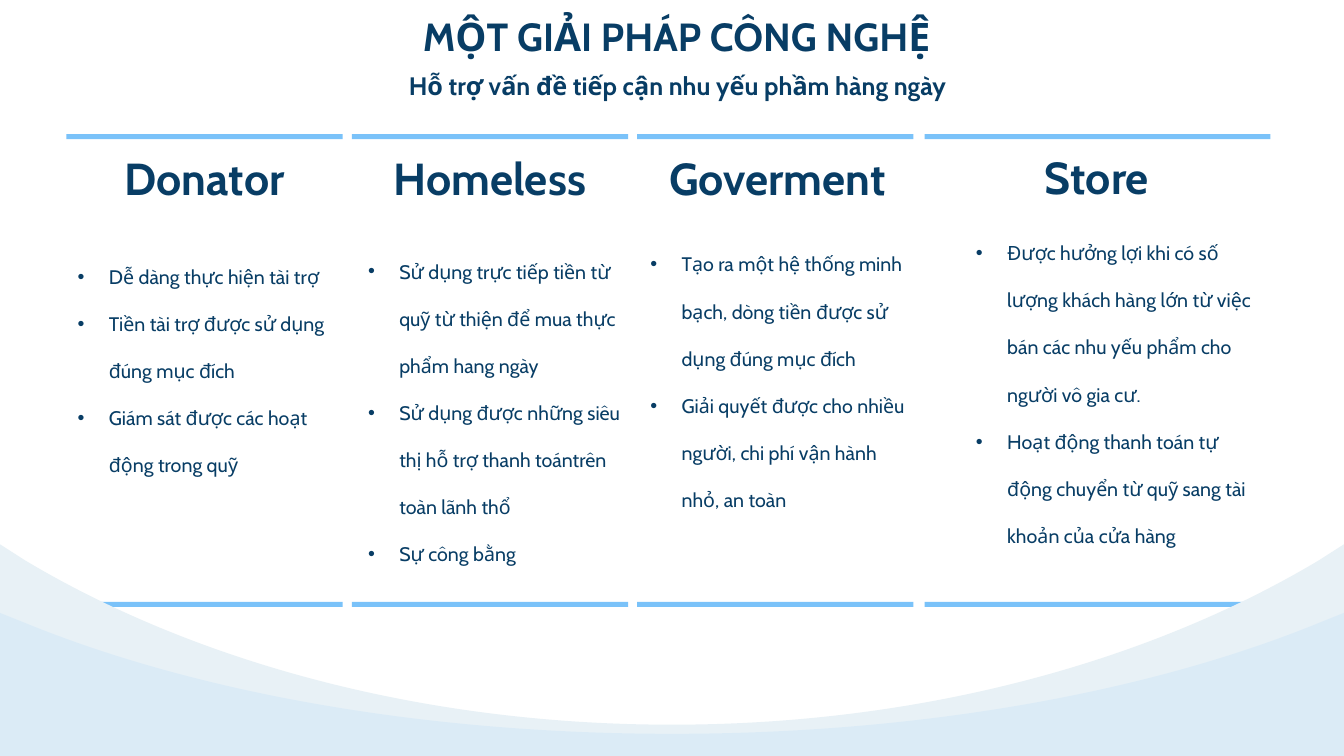
from pptx import Presentation
from pptx.dml.color import RGBColor
from pptx.enum import shapes as kinds, text as txt
from pptx.oxml import parse_xml
from pptx.oxml.ns import nsdecls, qn
from pptx.util import Inches, Pt

NAVY = RGBColor(0x08, 0x3D, 0x65)
SKY = RGBColor(0x7A, 0xC2, 0xF9)
MIST = RGBColor(0xE8, 0xF1, 0xF6)
FONT = "Cabin"
WIDE, HIGH = 13.33, 7.5

TITLE = "MỘT GIẢI PHÁP CÔNG NGHỆ"
SUB = "Hỗ trợ vấn đề tiếp cận nhu yếu phầm hàng ngày"
COLS = [
    dict(head="Donator", bar=(0.66, 2.74), name=(0.74, 1.5, 2.58, 0.54),
         box=(0.77, 2.39, 2.61, 2.36),
         items=["Dễ dàng thực hiện tài trợ",
                "Tiền tài trợ được sử dụng đúng mục đích",
                "Giám sát được các hoạt động trong quỹ"]),
    dict(head="Homeless", bar=(3.49, 2.74), name=(3.68, 1.5, 2.36, 0.54),
         box=(3.65, 2.34, 2.51, 3.3),
         items=["Sử dụng trực tiếp tiền từ quỹ từ thiện để mua thực phẩm hang ngày",
                "Sử dụng được những siêu thị hỗ trợ thanh toántrên toàn lãnh thổ",
                "Sự công bằng"]),
    dict(head="Goverment", bar=(6.32, 2.74), name=(6.5, 1.5, 2.42, 0.54),
         box=(6.45, 2.27, 2.57, 2.83),
         items=["Tạo ra một hệ thống minh bạch, dòng tiền được sử dụng đúng mục đích",
                "Giải quyết được cho nhiều người, chi phí vận hành nhỏ, an toàn"]),
    dict(head="Store", bar=(9.17, 3.43), name=(9.67, 1.49, 2.42, 0.54),
         box=(9.68, 2.16, 2.84, 3.3),
         items=["Được hưởng lợi khi có số lượng khách hàng lớn từ việc bán các nhu yếu phẩm cho người vô gia cư.",
                "Hoạt động thanh toán tự động chuyển từ quỹ sang tài khoản của cửa hàng"]),
]
BARS = (1.33, 5.97)
WAVES = [
    dict(edge=5.4, knots=(5.56, 6.57, 7.19, 7.19), color=MIST),
    dict(edge=6.08, knots=(6.18, 6.87, 7.28, 7.28), color=SKY, alpha=11),
]
KNOTS = (0.25, 1.94, 4.2, WIDE / 2)


def write(shape, lines, area, size, bold=True, bullet=False):
    """Place a text shape and fill it with formatted paragraphs."""
    shape.left, shape.top, shape.width, shape.height = map(Inches, area)
    frame = shape.text_frame
    frame.word_wrap = True
    frame.auto_size = txt.MSO_AUTO_SIZE.NONE
    frame.vertical_anchor = txt.MSO_ANCHOR.TOP
    frame.margin_left = frame.margin_right = 0
    frame.margin_top = frame.margin_bottom = 0
    for i, line in enumerate(lines):
        para = frame.add_paragraph() if i else frame.paragraphs[0]
        para.alignment = txt.PP_ALIGN.LEFT if bullet else txt.PP_ALIGN.CENTER
        para.line_spacing = 2.0 if bullet else 1.0
        para.space_before = para.space_after = Pt(0)
        run = para.add_run()
        run.text = line
        font = run.font
        font.name, font.size, font.bold = FONT, Pt(size), bold
        font.color.rgb = NAVY
        if bullet:
            props = para._p.get_or_add_pPr()
            props.set("marL", str(Inches(0.31)))
            props.set("indent", str(-Inches(0.31)))
            props.append(parse_xml(f'<a:buFont {nsdecls("a")} typeface="Arial"/>'))
            props.append(parse_xml(f'<a:buChar {nsdecls("a")} char="•"/>'))


def paint(shape, color, alpha=None):
    """Give a shape a flat fill with no line or shadow."""
    shape.shadow.inherit = False
    shape.line.fill.background()
    shape.fill.solid()
    shape.fill.fore_color.rgb = color
    if alpha:
        tone = shape._element.spPr.find(qn("a:solidFill"))[0]
        tone.append(parse_xml(f'<a:alpha {nsdecls("a")} val="{alpha * 1000}"/>'))


def bend(shape):
    """Turn the two runs of three points after the first line into curves."""
    lines = list(shape._element.iter(qn("a:lnTo")))
    for trio in (lines[1:4], lines[4:7]):
        curve = parse_xml(f'<a:cubicBezTo {nsdecls("a")}/>')
        trio[0].addprevious(curve)
        for line in trio:
            curve.append(line[0])
            line.getparent().remove(line)


def wave(slide, edge, knots, color, alpha=None):
    """Draw a mirrored bowl along the foot of the slide."""
    half = list(zip(KNOTS, knots))
    back = [(WIDE - x, y) for x, y in reversed(half[:-1])]
    points = half + back + [(WIDE, edge), (WIDE, HIGH), (0, HIGH)]
    form = slide.shapes.build_freeform(0, Inches(edge), scale=1.0)
    form.add_line_segments([(Inches(x), Inches(y)) for x, y in points])
    bowl = form.convert_to_shape()
    bend(bowl)
    paint(bowl, color, alpha)


def main():
    """Build the slide and save it."""
    deck = Presentation()
    deck.slide_width, deck.slide_height = Inches(WIDE), Inches(HIGH)
    slide = deck.slides.add_slide(deck.slide_layouts.get_by_name("Comparison"))
    shapes = slide.shapes
    write(shapes.title, [TITLE], (3.03, 0.12, 7.36, 0.47), 28)
    write(shapes.add_textbox(0, 0, 0, 0), [SUB], (3.04, 0.7, 7.36, 0.3), 18)
    bodies = list(slide.placeholders)[1:]
    for col, body in zip(COLS, bodies):
        left, width = col["bar"]
        for top in BARS:
            bar = shapes.add_shape(kinds.MSO_SHAPE.RECTANGLE, Inches(left),
                                   Inches(top), Inches(width), Inches(0.05))
            paint(bar, SKY)
        write(shapes.add_textbox(0, 0, 0, 0), [col["head"]], col["name"], 32)
        write(body, col["items"], col["box"], 14, bold=False, bullet=True)
    for bowl in WAVES:
        wave(slide, **bowl)
    deck.save("out.pptx")


if __name__ == "__main__":
    main()
